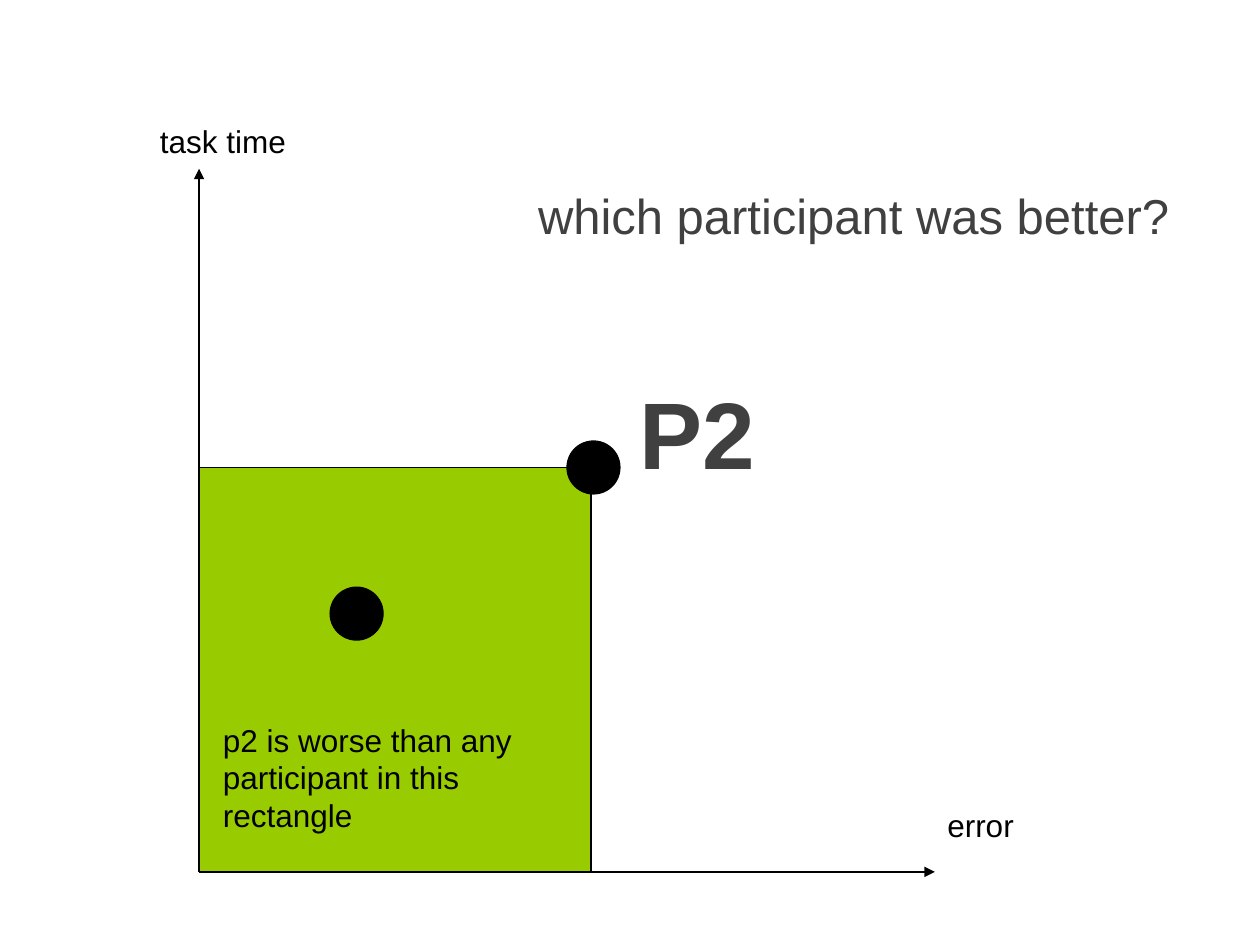
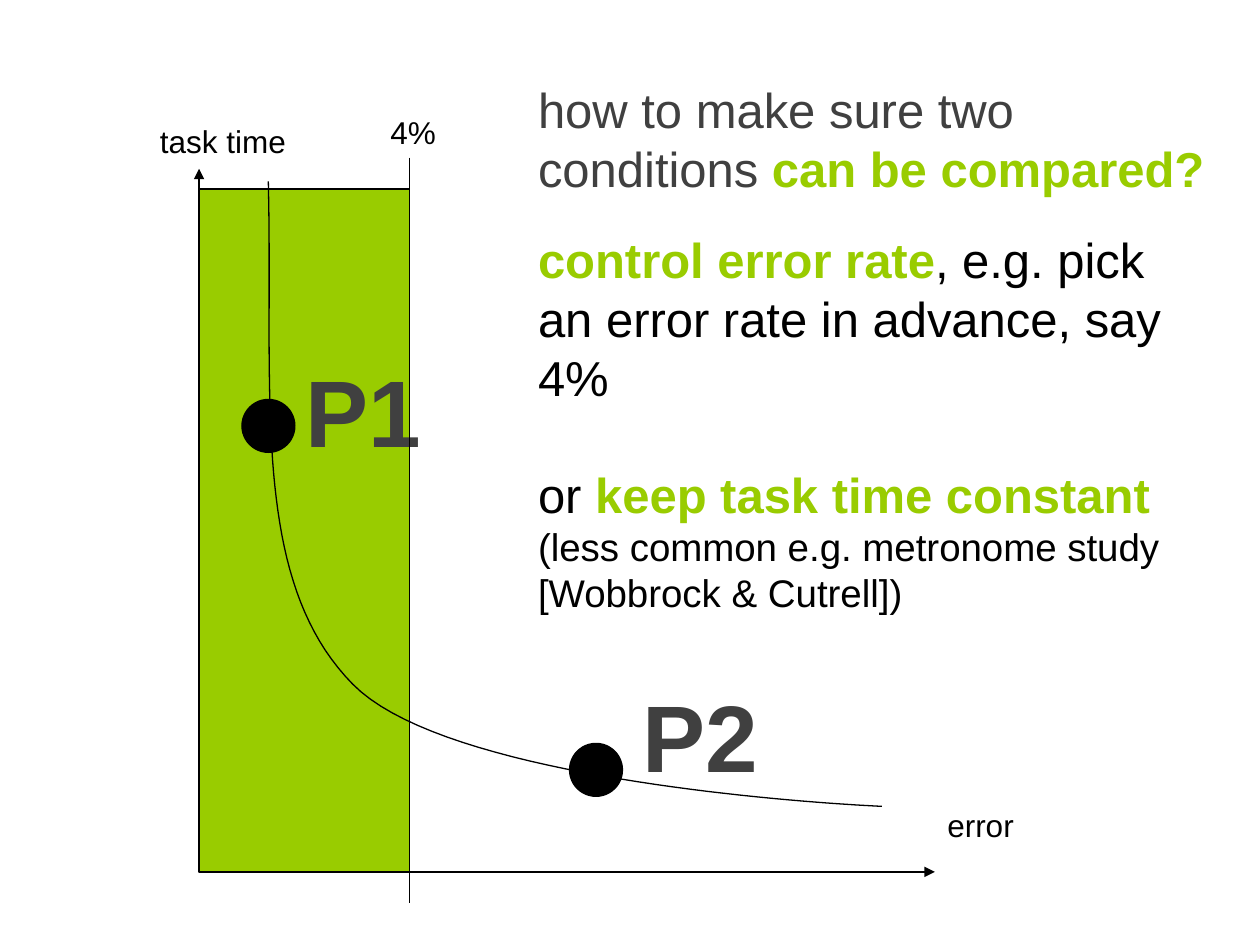
"""Two slides on comparing participants by task time and error."""
from dataclasses import dataclass

from lxml import etree
from pptx import Presentation
from pptx import util as u
from pptx.dml.color import RGBColor
from pptx.enum import shapes, text
from pptx.oxml import ns


@dataclass(frozen=True)
class Theme:
    """Colours, type sizes and measures shared by the slides."""
    font: str = "Arial"
    ink: str = "000000"
    grey: str = "404040"
    green: str = "99CC00"
    label: int = 18
    aside: int = 22
    heading: int = 28
    point: int = 54
    line: float = 0.75
    leading: float = 1.0
    blank_line: float = 33.5
    dot: float = 0.42


THEME = Theme()
ORIGIN = (1.58, 6.92)
TIME_TIP = (1.58, 1.34)
ERROR_TIP = (7.42, 6.92)

LABEL = {"size": THEME.label, "color": THEME.ink, "bold": False}
HEADING = {"size": THEME.heading, "color": THEME.grey, "bold": False}
BODY = {**HEADING, "color": THEME.ink}
ACCENT = {**HEADING, "color": THEME.green, "bold": True}
ASIDE = {**LABEL, "size": THEME.aside}
POINT = {"size": THEME.point, "color": THEME.grey, "bold": True}


def inches(*lengths):
    """Convert plain numbers to inch lengths."""
    return [u.Inches(length) for length in lengths]


def assign(target, values):
    """Set each attribute named in a dict of format values."""
    for name, value in values.items():
        setattr(target, name, value)


def add_run(paragraph, words, style):
    """Add one formatted run."""
    run = paragraph.add_run()
    run.text = words
    assign(run.font, {"name": THEME.font, "size": u.Pt(style["size"]), "bold": style["bold"]})
    run.font.color.rgb = RGBColor.from_string(style["color"])


def write(frame, paragraphs, wrap, gap=0):
    """Fill a text frame with paragraphs of (words, style) runs."""
    assign(frame, {"word_wrap": wrap, "auto_size": text.MSO_AUTO_SIZE.NONE,
                   "vertical_anchor": text.MSO_ANCHOR.TOP})
    for index, runs in enumerate(paragraphs):
        paragraph = frame.add_paragraph() if index else frame.paragraphs[0]
        assign(paragraph, {"alignment": text.PP_ALIGN.LEFT, "line_spacing": THEME.leading,
                           "space_before": u.Pt(gap if index else 0), "space_after": u.Pt(0)})
        for words, style in runs:
            add_run(paragraph, words, style)


def fill_placeholder(holder, box, paragraphs, wrap=True, gap=0):
    """Move a placeholder to its box and write in it."""
    assign(holder, dict(zip(("left", "top", "width", "height"), inches(*box))))
    write(holder.text_frame, paragraphs, wrap, gap)


def remove_bullets(frame):
    """Turn list items into flush paragraphs."""
    for paragraph in frame.paragraphs:
        properties = paragraph._p.get_or_add_pPr()
        properties.set("marL", "0")
        properties.set("indent", "0")
        etree.SubElement(properties, ns.qn("a:buNone"))


def add_label(slide, box, words, style=LABEL, wrap=False):
    """Add a text box with one run."""
    write(slide.shapes.add_textbox(*inches(*box)).text_frame, [[(words, style)]], wrap)


def outline(line):
    """Give a line the shared ink and width."""
    line.color.rgb = RGBColor.from_string(THEME.ink)
    line.width = u.Pt(THEME.line)


def add_filled(slide, kind, box, color):
    """Add an outlined preset shape in one colour."""
    shape = slide.shapes.add_shape(kind, *inches(*box))
    shape.shadow.inherit = False
    shape.fill.solid()
    shape.fill.fore_color.rgb = RGBColor.from_string(color)
    outline(shape.line)


def add_region(slide, left, top, width, height):
    """Add a green area of the diagram."""
    add_filled(slide, shapes.MSO_SHAPE.RECTANGLE, (left, top, width, height), THEME.green)


def add_dot(slide, left, top):
    """Mark one participant."""
    add_filled(slide, shapes.MSO_SHAPE.OVAL, (left, top, THEME.dot, THEME.dot), THEME.ink)


def add_line(slide, start, end, arrow=False):
    """Add a straight line, with an arrowhead at its end if asked."""
    connector = slide.shapes.add_connector(shapes.MSO_CONNECTOR.STRAIGHT, *inches(*start, *end))
    outline(connector.line)
    if arrow:
        etree.SubElement(connector.line._get_or_add_ln(), ns.qn("a:tailEnd"), type="triangle")
    etree.SubElement(connector._element.spPr, ns.qn("a:effectLst"))


def add_axes(slide):
    """Draw and name the time and error axes."""
    for tip in (TIME_TIP, ERROR_TIP):
        add_line(slide, ORIGIN, tip, arrow=True)
    add_label(slide, (7.42, 6.35, 0.73, 0.4), "error")
    add_label(slide, (1.17, 0.92, 1.21, 0.4), "task time")


def bezier(controls, steps=40):
    """Return points along a cubic curve, without its start."""
    points = []
    for step in range(1, steps + 1):
        t = step / steps
        weights = ((1 - t) ** 3, 3 * t * (1 - t) ** 2, 3 * t * t * (1 - t), t ** 3)
        points.append(tuple(sum(w * c for w, c in zip(weights, axis)) for axis in zip(*controls)))
    return points


def add_tradeoff(slide):
    """Draw the curve that trades time for error."""
    start, knee, end = (2.13, 1.44), (2.8, 5.43), (7, 6.4)
    points = (bezier((start, (2.17, 3.13), (1.98, 4.6), knee))
              + bezier((knee, (3.61, 6.26), end, end)))
    builder = slide.shapes.build_freeform(*inches(*start))
    builder.add_line_segments([inches(*point) for point in points], close=False)
    curve = builder.convert_to_shape()
    curve.shadow.inherit = False
    curve.fill.background()
    outline(curve.line)


def build_dominance(slide):
    """Show the area in which everyone beats P2."""
    fill_placeholder(slide.shapes.title, (4.17, 1.42, 6, 0.57),
                     [[("which participant was better?", HEADING)]])
    add_region(slide, 1.58, 3.71, 3.11, 3.21)
    add_axes(slide)
    add_dot(slide, 2.62, 4.66)
    add_dot(slide, 4.5, 3.5)
    add_label(slide, (4.98, 2.93, 1.13, 1.01), "P2", POINT)
    add_label(slide, (1.67, 5.67, 3.08, 1.01),
              "p2 is worse than any participant in this rectangle", wrap=True)


def build_control(slide):
    """Show how a fixed error rate makes conditions comparable."""
    fill_placeholder(slide.shapes.title, (4.17, 0.58, 5.55, 1.04), [
        [("how to make sure two", HEADING)],
        [("conditions ", HEADING), ("can be compared?", ACCENT)],
    ], wrap=False)
    advice = slide.placeholders[1]
    fill_placeholder(advice, (4.17, 1.77, 5.42, 4.14), [
        [("control error rate", ACCENT),
         (", e.g. pick an error rate in advance, say 4%", BODY)],
        [("or ", BODY), ("keep task time constant ", ACCENT),
         ("(less common e.g. metronome study [Wobbrock & Cutrell])", ASIDE)],
    ], gap=THEME.blank_line)
    remove_bullets(advice.text_frame)
    add_region(slide, 1.58, 1.5, 1.67, 5.42)
    add_axes(slide)
    add_tradeoff(slide)
    add_dot(slide, 1.92, 3.17)
    add_dot(slide, 4.52, 5.9)
    add_label(slide, (2.33, 2.75, 1.13, 1.01), "P1", POINT)
    add_label(slide, (5, 5.33, 1.13, 1.01), "P2", POINT)
    add_line(slide, (3.25, 1.25), (3.25, 7.17))
    add_label(slide, (3, 0.85, 0.57, 0.4), "4%")


def main():
    """Build and save the deck."""
    deck = Presentation()
    deck.slide_width, deck.slide_height = inches(10, 7.5)
    title_only, title_and_body = deck.slide_layouts[5], deck.slide_layouts[1]
    build_dominance(deck.slides.add_slide(title_only))
    build_control(deck.slides.add_slide(title_and_body))
    deck.save("out.pptx")


if __name__ == "__main__":
    main()
